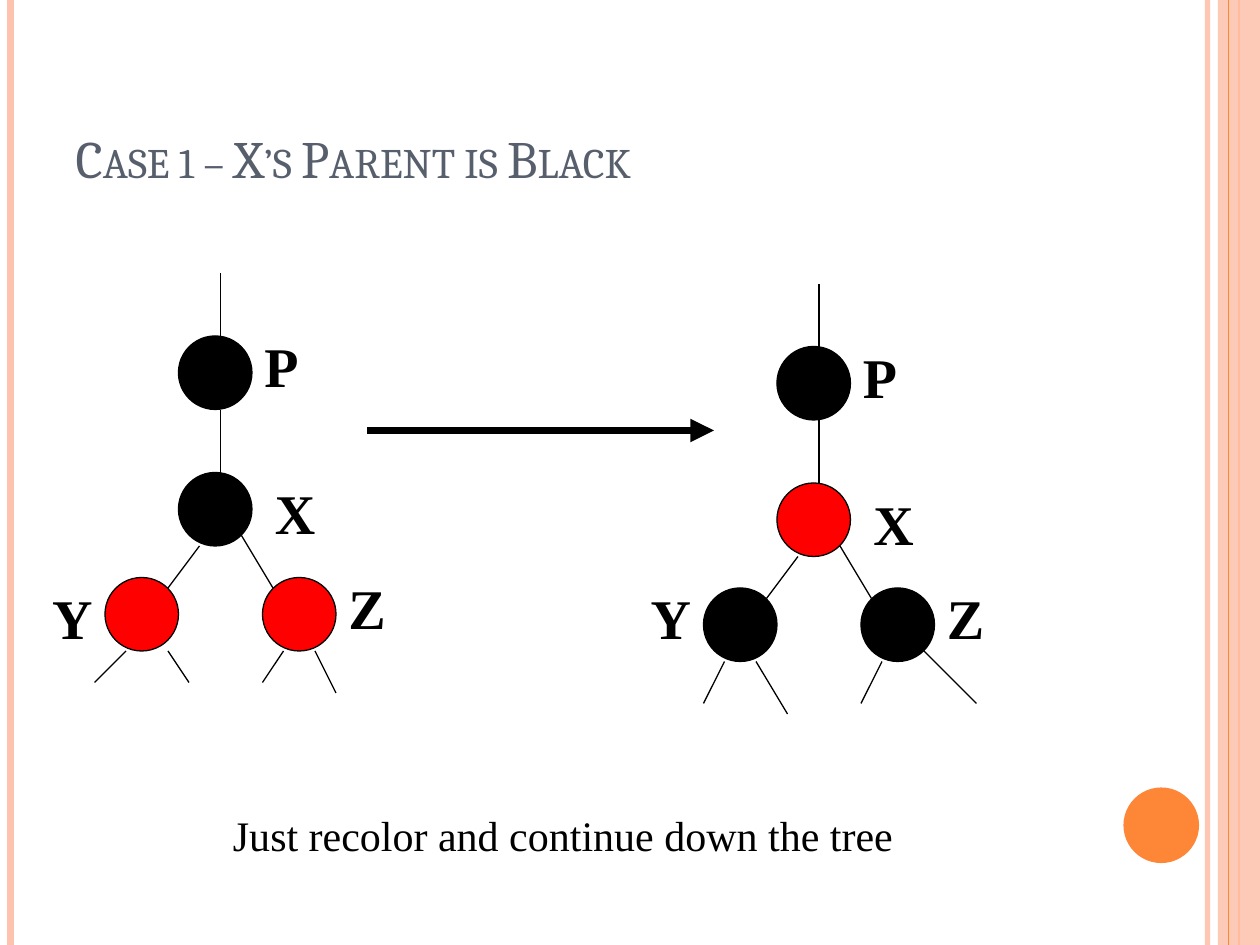
from dataclasses import dataclass
from typing import NamedTuple

from lxml.etree import SubElement
from pptx import Presentation
from pptx.dml.color import RGBColor
from pptx.enum.shapes import MSO_CONNECTOR as Connector, MSO_SHAPE as Preset
from pptx.enum.text import MSO_ANCHOR as Anchor, MSO_AUTO_SIZE as AutoSize, PP_ALIGN as Align
from pptx.oxml.ns import qn
from pptx.util import Emu, Pt

PX = 7620  # 120 px to the inch
BLACK, RED = "000000", "FF0000"
PINK, ORANGE, SLATE = "FEC3AE", "FE8637", "575F6D"
NODE_SIZE = 70
LABEL_HEIGHT = 75


class Line(NamedTuple):
    x1: int
    y1: int
    x2: int
    y2: int


class Node(NamedTuple):
    name: str
    x: int
    y: int
    label_x: int
    label_y: int
    label_width: int
    align: Align = Align.LEFT


@dataclass
class Tree:
    dx: int
    dy: int
    colors: dict[str, str]
    subtrees: list[Line]
    label_shifts: dict[str, int]


NODES = [
    Node("P", 170, 320, 240, 310, 70),
    Node("X", 170, 450, 250, 450, 60),
    Node("Y", 100, 550, 0, 550, 100, Align.RIGHT),
    Node("Z", 250, 550, 320, 540, 70),
]
EDGES = [
    Line(210, 320, 210, 260),
    Line(210, 450, 210, 390),
    Line(190, 520, 160, 560),
    Line(230, 510, 260, 560),
]
TREES = [
    Tree(0, 0, {"P": BLACK, "X": BLACK, "Y": RED, "Z": RED},
         [Line(120, 620, 90, 650), Line(160, 620, 180, 650),
          Line(270, 620, 250, 650), Line(300, 620, 320, 660)], {}),
    Tree(570, 10, {"P": BLACK, "X": RED, "Y": BLACK, "Z": BLACK},
         [Line(120, 620, 100, 660), Line(150, 620, 180, 670),
          Line(270, 620, 250, 660), Line(310, 610, 360, 660)], {"Y": -10}),
]


def px(*lengths: int) -> list[Emu]:
    return [Emu(length * PX) for length in lengths]


def rgb(color: str) -> RGBColor:
    return RGBColor.from_string(color)


def set_opacity(fill_parent, percent: int) -> None:
    color = fill_parent.find(qn("a:solidFill"))[0]
    SubElement(color, qn("a:alpha"), val=str(percent * 1000))


def add_line(slide, line: Line, color: str = BLACK, width: float = 0.75):
    connector = slide.shapes.add_connector(Connector.STRAIGHT, *px(*line))
    connector.line.color.rgb = rgb(color)
    connector.line.width = Pt(width)
    SubElement(connector._element.spPr, qn("a:effectLst"))
    return connector


def add_filled(slide, preset: Preset, box: tuple, fill: str, outlined: bool = False):
    shape = slide.shapes.add_shape(preset, *px(*box))
    shape.shadow.inherit = False
    shape.fill.solid()
    shape.fill.fore_color.rgb = rgb(fill)
    if outlined:
        shape.line.color.rgb = rgb(BLACK)
        shape.line.width = Pt(0.75)
    else:
        shape.line.fill.background()
    return shape


def format_font(font, name: str, size: int, color: str, bold: bool = False) -> None:
    font.name, font.size, font.bold = name, Pt(size), bold
    font.color.rgb = rgb(color)


def add_text(slide, box: tuple, words: str, size: int, bold: bool = False,
             align: Align = Align.LEFT) -> None:
    frame = slide.shapes.add_textbox(*px(*box)).text_frame
    frame.word_wrap = True
    frame.auto_size = AutoSize.SHAPE_TO_FIT_TEXT
    paragraph = frame.paragraphs[0]
    paragraph.text = words
    paragraph.alignment = align
    format_font(paragraph.font, "Times New Roman", size, BLACK, bold)


def add_border(slide) -> None:
    inner = add_line(slide, Line(1150, 0, 1150, 900), PINK, 3)
    set_opacity(inner.line._get_or_add_ln(), 93)
    add_line(slide, Line(10, 0, 10, 900), PINK, 4.5)
    add_line(slide, Line(1180, 0, 1180, 900), ORANGE, 1.5)
    band = add_filled(slide, Preset.RECTANGLE, (1160, 0, 40, 900), PINK)
    set_opacity(band._element.spPr, 87)
    add_line(slide, Line(1170, 0, 1170, 900), ORANGE)
    add_filled(slide, Preset.OVAL, (1070, 750, 72, 72), ORANGE)


def add_title(slide, words: str) -> None:
    title = slide.shapes.title
    title.left, title.top, title.width, title.height = px(60, 36, 980, 150)
    frame = title.text_frame
    frame.vertical_anchor = Anchor.BOTTOM
    paragraph = frame.paragraphs[0]
    paragraph.alignment = Align.LEFT
    run = paragraph.add_run()
    run.text = words
    format_font(run.font, "Cambria", 30, SLATE)
    run._r.get_or_add_rPr().set("cap", "small")


def add_tree(slide, tree: Tree) -> None:
    for node in NODES:
        circle = (node.x + tree.dx, node.y + tree.dy, NODE_SIZE, NODE_SIZE)
        add_filled(slide, Preset.OVAL, circle, tree.colors[node.name], outlined=True)
        label_top = node.label_y + tree.dy + tree.label_shifts.get(node.name, 0)
        label = (node.label_x + tree.dx, label_top, node.label_width, LABEL_HEIGHT)
        add_text(slide, label, node.name, 32, bold=True, align=node.align)
    for x1, y1, x2, y2 in EDGES + tree.subtrees:
        add_line(slide, Line(x1 + tree.dx, y1 + tree.dy, x2 + tree.dx, y2 + tree.dy))


def main() -> None:
    deck = Presentation()
    deck.slide_width, deck.slide_height = px(1200, 900)
    slide = deck.slides.add_slide(deck.slide_layouts[5])
    add_border(slide)
    add_title(slide, "Case 1 – X’s Parent is Black")
    for tree in TREES:
        add_tree(slide, tree)
    recolor_arrow = add_line(slide, Line(350, 410, 680, 410), width=4.5)
    SubElement(recolor_arrow.line._get_or_add_ln(), qn("a:tailEnd"), type="triangle")
    add_text(slide, (210, 765, 880, 60), "Just recolor and continue down the tree", 24)
    deck.save("out.pptx")


if __name__ == "__main__":
    main()
